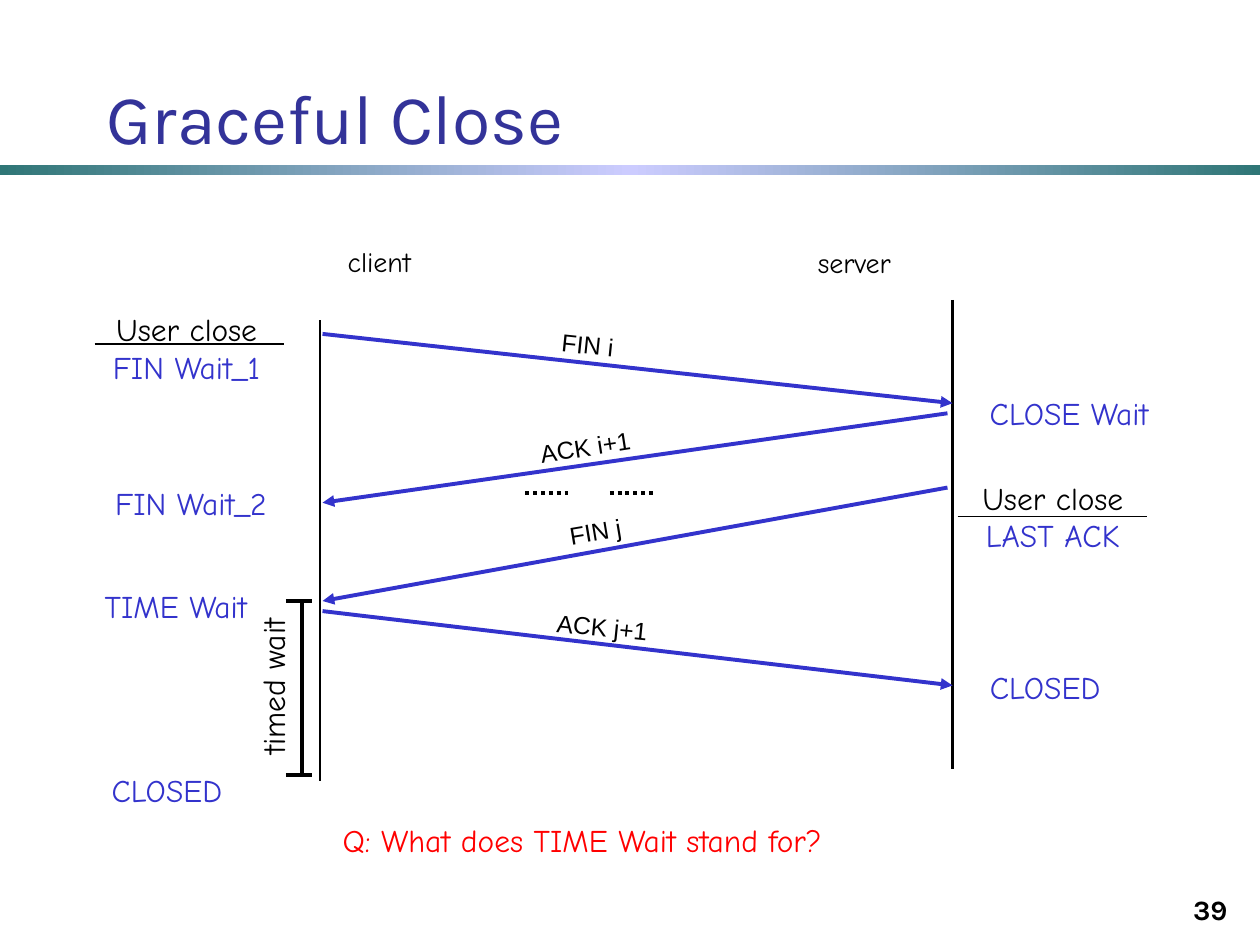
"""Build the Graceful Close slide: a client and server connection teardown timeline."""
import copy

import pptx
import pptx.dml.color
import pptx.enum.dml
import pptx.enum.shapes
import pptx.enum.text
import pptx.oxml.ns
import pptx.util
from lxml import etree

RGBColor = pptx.dml.color.RGBColor
BLACK = RGBColor(0x00, 0x00, 0x00)
BLUE = RGBColor(0x33, 0x33, 0xCC)
NAVY = RGBColor(0x33, 0x33, 0x99)
RED = RGBColor(0xFF, 0x00, 0x00)
TEAL = RGBColor(0x2F, 0x76, 0x76)
LAVENDER = RGBColor(0xCC, 0xCC, 0xFF)
HEADING, HAND, PLAIN = "Karla", "Comic Neue", "Arial"
ALIGN = pptx.enum.text.PP_ALIGN
ANCHOR = pptx.enum.text.MSO_ANCHOR

presentation = pptx.Presentation()
presentation.slide_width = pptx.util.Inches(10)
presentation.slide_height = pptx.util.Inches(7.5)
slide = presentation.slides.add_slide(presentation.slide_layouts[6])
COLUMN = presentation.slide_width / 100
ROW = presentation.slide_height / 75


def add_text(place, lines, font_name, size, align=ALIGN.CENTER, anchor=ANCHOR.TOP, rotation=0):
    left, top, width, height = place
    shape = slide.shapes.add_textbox(
        round(left * COLUMN), round(top * ROW), round(width * COLUMN), round(height * ROW))
    shape.rotation = rotation
    text_frame = shape.text_frame
    text_frame.word_wrap = align != ALIGN.CENTER
    text_frame.vertical_anchor = anchor
    text_frame.text = "\n".join(text for text, color in lines)
    for paragraph, (text, color) in zip(text_frame.paragraphs, lines):
        paragraph.alignment = align
        font = paragraph.runs[0].font
        font.name = font_name
        font.size = pptx.util.Pt(size)
        font.color.rgb = color
    return shape


def add_line(start, end, color, weight, arrow=False):
    connector = slide.shapes.add_connector(
        pptx.enum.shapes.MSO_CONNECTOR.STRAIGHT,
        round(start[0] * COLUMN), round(start[1] * ROW),
        round(end[0] * COLUMN), round(end[1] * ROW))
    connector.line.color.rgb = color
    connector.line.width = pptx.util.Pt(weight)
    if arrow:
        line_element = connector.line._get_or_add_ln()
        etree.SubElement(line_element, pptx.oxml.ns.qn("a:tailEnd"), type="triangle")
    etree.SubElement(connector._element.spPr, pptx.oxml.ns.qn("a:effectLst"))
    return connector


band = slide.shapes.add_shape(
    pptx.enum.shapes.MSO_SHAPE.RECTANGLE,
    0, round(13.1 * ROW), presentation.slide_width, round(0.8 * ROW))
band.shadow.inherit = False
band.line.fill.background()
band.fill.gradient()
band.fill.gradient_angle = 0
first_stop = band.fill.gradient_stops[0]._gs
first_stop.addnext(copy.deepcopy(first_stop))
for stop, position, color in zip(band.fill.gradient_stops, (0, 0.5, 1), (TEAL, LAVENDER, TEAL)):
    stop.position = position
    stop.color.rgb = color

add_text((7.5, 3.6, 92.5, 9.5), [("Graceful Close", NAVY)], HEADING, 40, ALIGN.LEFT, ANCHOR.BOTTOM)
page_number = add_text((77.6, 69, 20.8, 5), [("39", BLACK)], HEADING, 16, ALIGN.RIGHT, ANCHOR.BOTTOM)
page_number.text_frame.paragraphs[0].runs[0].font.bold = True

CLIENT, SERVER = 25.4, 75.6
add_line((CLIENT, 25.4), (CLIENT, 62), BLACK, 1.5)
add_line((SERVER, 23.8), (SERVER, 61), BLACK, 1.5)

CLIENT_SIDE, SERVER_SIDE = CLIENT + 0.2, SERVER - 0.4
for start, end in (
    ((CLIENT_SIDE, 26.5), (SERVER, 32)),
    ((SERVER_SIDE, 32.8), (CLIENT_SIDE, 39.9)),
    ((SERVER_SIDE, 38.7), (CLIENT_SIDE, 47.7)),
    ((CLIENT_SIDE, 48.5), (SERVER, 54.4)),
):
    add_line(start, end, BLUE, 2.25, arrow=True)

for text, place, rotation in (
    ("FIN i", (43.6, 25.7, 6.1, 3.3), 5.9),
    ("ACK i+1", (31.5, 33.8, 29.9, 3.3), 351.1),
    ("FIN j", (38.5, 40.5, 17.5, 3.3), 350.5),
    ("ACK j+1", (43.2, 48.1, 9.2, 3.3), 5.8),
):
    add_text(place, [(text, BLACK)], PLAIN, 14, rotation=rotation)

for left in (41.7, 48.4):
    dots = add_line((left, 39.1), (left + 3.6, 39.1), BLACK, 2.25)
    dots.line.dash_style = pptx.enum.dml.MSO_LINE.ROUND_DOT

add_text((26.2, 18.9, 7.8, 3.7), [("client", BLACK)], HAND, 16)
add_text((63.4, 19, 8.8, 3.7), [("server", BLACK)], HAND, 16)

for place, state in (
    ((6.7, 24.1, 16.2, 7), "FIN Wait_1"),
    ((76.4, 37.5, 14.3, 7), "LAST ACK"),
):
    add_text(place, [("User close", BLACK), (state, BLUE)], HAND, 18)
for left, top in ((7.5, 27.3), (76, 41)):
    add_line((left, top), (left + 15, top), BLACK, 0.75)

for text, left, top, width in (
    ("FIN Wait_2", 6.7, 37.9, 16.9),
    ("TIME Wait", 5.5, 46.1, 16.9),
    ("CLOSED", 6.8, 60.7, 12.9),
    ("CLOSE Wait", 76.4, 30.8, 16.9),
    ("CLOSED", 76.5, 52.5, 12.9),
):
    add_text((left, top, width, 4), [(text, BLUE)], HAND, 18)

WAIT_START, WAIT_END = 47.7, 61.5
add_line((24, WAIT_START), (24, WAIT_END), BLACK, 2.25)
for top in (WAIT_START, WAIT_END):
    add_line((22.7, top), (24.8, top), BLACK, 2.25)
add_text((14.5, 52.5, 14.3, 4), [("timed wait", BLACK)], HAND, 18, rotation=270)

add_text((26.2, 64.7, 45.9, 4), [("Q: What does TIME Wait stand for?", RED)], HAND, 18, ALIGN.LEFT)

presentation.save("out.pptx")
